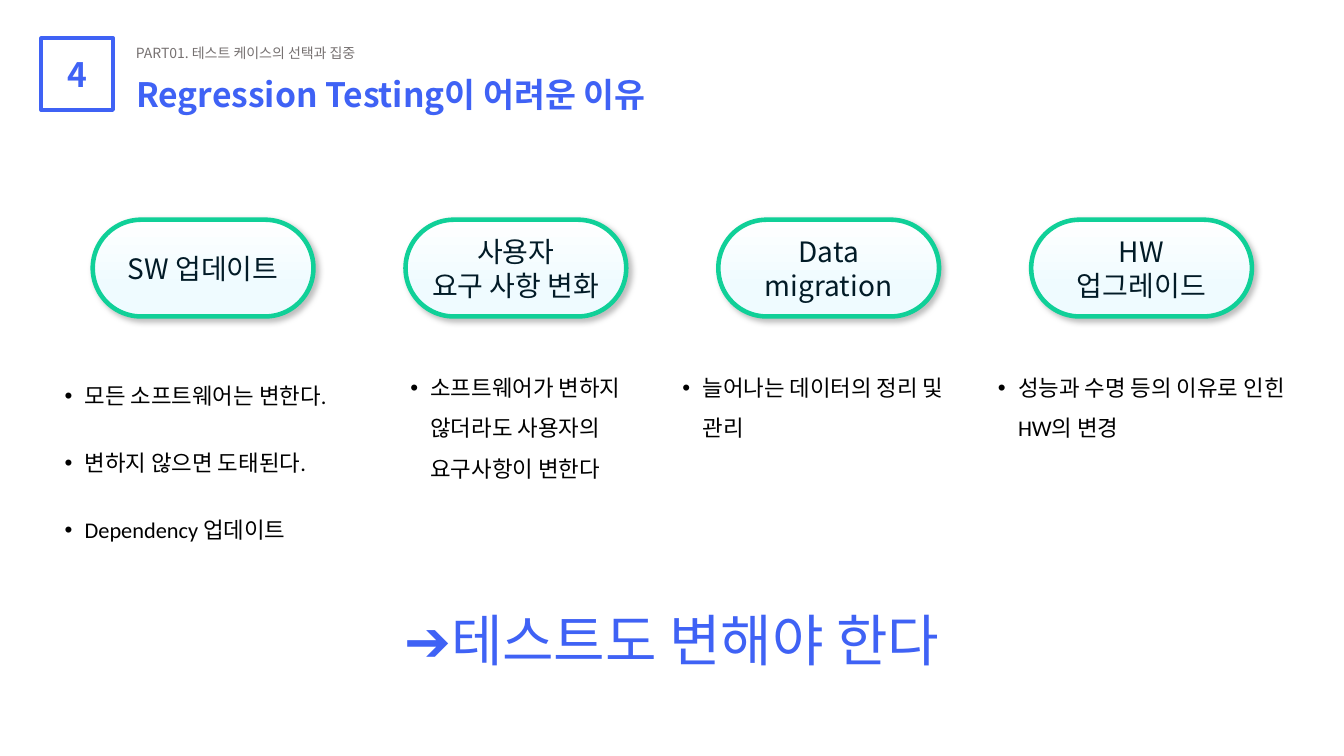
from dataclasses import dataclass

from lxml.etree import SubElement
from pptx import Presentation
from pptx.dml.color import RGBColor
from pptx.enum.shapes import MSO_SHAPE
from pptx.enum.text import MSO_ANCHOR, MSO_AUTO_SIZE, PP_ALIGN
from pptx.oxml.ns import qn
from pptx.util import Emu, Inches, Pt

HUES = {
    "blue": "3F62F5", "gray": "767171", "green": "10D098", "ink": "021B27",
    "black": "000000", "white": "FFFFFF", "ice": "EFFBFF", "shade": "BFBFBF",
}
COLS, ROWS = 40, 22.5
WIDE, HIGH = Inches(13.333), Inches(7.5)
NOTO, LATIN = "Noto Sans CJK KR", "Calibri"
INDENT = Inches(0.2)
PITCH = 9.31


@dataclass(frozen=True)
class Box:
    col: float
    row: float
    cols: float
    rows: float

    def place(self) -> tuple:
        return (Emu(round(self.col * WIDE / COLS)), Emu(round(self.row * HIGH / ROWS)),
                Emu(round(self.cols * WIDE / COLS)), Emu(round(self.rows * HIGH / ROWS)))


@dataclass(frozen=True)
class Style:
    size: float
    hue: str
    font: str = NOTO
    bold: bool = False
    align: PP_ALIGN = PP_ALIGN.LEFT
    space: float = 1.0
    dots: bool = False


@dataclass(frozen=True)
class Cause:
    label: tuple
    notes: tuple
    box: Box
    space: float = 1.5


CAUSES = (
    Cause(("SW 업데이트",),
          ("모든 소프트웨어는 변한다.", "변하지 않으면 도태된다.", "Dependency 업데이트"),
          Box(1.62, 10.02, 9.66, 6.03), 2.5),
    Cause(("사용자", "요구 사항 변화"),
          ("소프트웨어가 변하지 않더라도 사용자의 요구사항이 변한다",),
          Box(11.91, 10.59, 8.1, 3.81)),
    Cause(("Data", "migration"), ("늘어나는 데이터의 정리 및\n관리",),
          Box(20.01, 10.59, 9.66, 2.61)),
    Cause(("HW", "업그레이드"), ("성능과 수명 등의 이유로 인힌 HW의 변경",),
          Box(29.4, 10.59, 9.66, 2.61)),
)


def tint(name: str) -> RGBColor:
    return RGBColor.from_string(HUES[name])


def add_dot(para) -> None:
    props = para._p.get_or_add_pPr()
    props.set("marL", str(INDENT))
    props.set("indent", str(-INDENT))
    SubElement(props, qn("a:buFont")).set("typeface", "Arial")
    SubElement(props, qn("a:buChar")).set("char", "•")


def write(shape, lines: tuple, style: Style, anchor=MSO_ANCHOR.TOP, wrap: bool = True) -> None:
    frame = shape.text_frame
    frame.auto_size = MSO_AUTO_SIZE.NONE
    frame.word_wrap = wrap
    frame.vertical_anchor = anchor
    for num, line in enumerate(lines):
        para = frame.add_paragraph() if num else frame.paragraphs[0]
        para.text = line
        if style.dots:
            add_dot(para)
        para.alignment = style.align
        para.line_spacing = style.space
        para.space_before = Pt(0)
        for run in para.runs:
            font = run.font
            font.size, font.bold, font.name = Pt(style.size), style.bold, style.font
            font.color.rgb = tint(style.hue)
            SubElement(run._r.get_or_add_rPr(), qn("a:ea")).set("typeface", NOTO)


def move(shape, box: Box) -> None:
    shape.left, shape.top, shape.width, shape.height = box.place()


def add_pill(slide, box: Box, label: tuple) -> None:
    pill = slide.shapes.add_shape(MSO_SHAPE.ROUNDED_RECTANGLE, *box.place())
    pill.adjustments[0] = 0.5
    pill.fill.gradient()
    pill.fill.gradient_angle = 270
    for stop, spot, name in zip(pill.fill.gradient_stops, (0, 0.7), ("white", "ice")):
        stop.position = spot
        stop.color.rgb = tint(name)
    pill.line.color.rgb = tint("green")
    pill.line.width = Pt(3.25)
    pill.shadow.inherit = False
    glow = SubElement(pill._element.spPr.find(qn("a:effectLst")), qn("a:outerShdw"),
                      blurRad=str(Pt(4)), dist=str(Pt(3)), dir="2700000",
                      algn="tl", rotWithShape="0")
    SubElement(glow, qn("a:srgbClr")).set("val", HUES["shade"])
    frame = pill.text_frame
    frame.margin_left = frame.margin_right = frame.margin_top = frame.margin_bottom = 0
    write(pill, label, Style(20, "ink", align=PP_ALIGN.CENTER), MSO_ANCHOR.MIDDLE)


def add_badge(slide) -> None:
    badge = slide.shapes.add_shape(MSO_SHAPE.RECTANGLE, *Box(1.23, 1.14, 2.13, 2.13).place())
    badge.shadow.inherit = False
    badge.fill.background()
    badge.line.color.rgb = tint("blue")
    badge.line.width = Pt(3)
    write(badge, ("4",), Style(24, "blue", bold=True, align=PP_ALIGN.CENTER), MSO_ANCHOR.MIDDLE)


def main() -> None:
    deck = Presentation()
    deck.slide_width, deck.slide_height = WIDE, HIGH
    slide = deck.slides.add_slide(deck.slide_layouts.get_by_name("Comparison"))
    title, *lists = slide.placeholders

    add_badge(slide)
    part = slide.shapes.add_textbox(*Box(3.75, 0.93, 7.8, 0.96).place())
    write(part, ("PART01. 테스트 케이스의 선택과 집중",), Style(10, "gray", space=1.5), wrap=False)
    move(title, Box(3.75, 2.04, 20.88, 1.5))
    write(title, ("Regression Testing이 어려운 이유",), Style(24, "blue", bold=True))

    for num, (cause, body) in enumerate(zip(CAUSES, lists)):
        add_pill(slide, Box(2.76 + num * PITCH, 6.54, 6.57, 2.88), cause.label)
        move(body, cause.box)
        write(body, cause.notes, Style(16, "black", LATIN, space=cause.space, dots=True))

    close = slide.shapes.add_textbox(*Box(9.66, 18.09, 20.67, 3.03).place())
    write(close, ("➔테스트도 변해야 한다",),
          Style(40, "blue", LATIN, align=PP_ALIGN.CENTER, space=0.9))
    deck.save("out.pptx")


if __name__ == "__main__":
    main()
